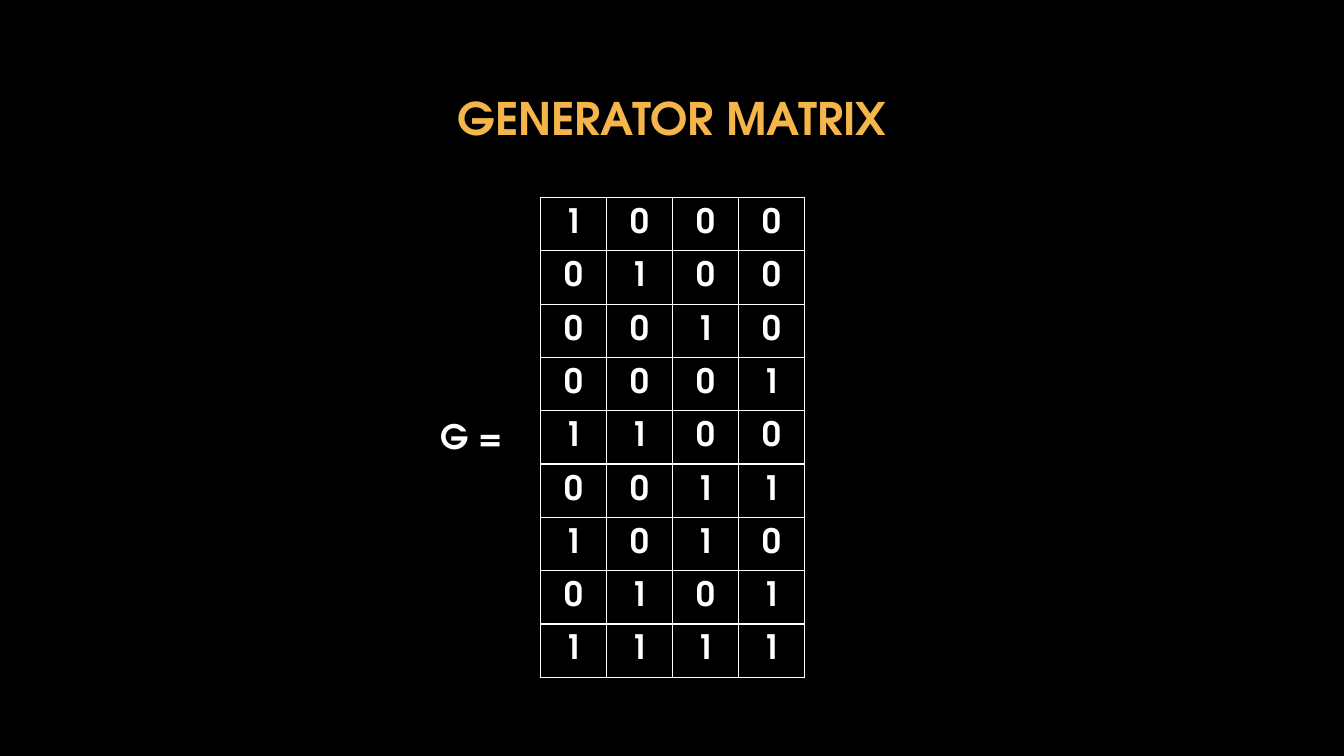
from dataclasses import dataclass

from lxml.etree import SubElement
from pptx import Presentation
from pptx.dml.color import RGBColor
from pptx.enum.text import MSO_ANCHOR, PP_ALIGN
from pptx.oxml.ns import qn
from pptx.slide import Slide
from pptx.table import _Cell
from pptx.text.text import _Paragraph
from pptx.util import Inches, Pt

SLIDE_WIDTH, SLIDE_HEIGHT = 13.33, 7.5
FONT = "TeX Gyre Adventor"
BLACK = RGBColor(0x00, 0x00, 0x00)
WHITE = RGBColor(0xFF, 0xFF, 0xFF)
AMBER = RGBColor(0xF4, 0xB5, 0x4B)

GENERATOR_ROWS = ["1000", "0100", "0010", "0001", "1100", "0011", "1010", "0101", "1111"]
MATRIX_LEFT, MATRIX_TOP = 5.36, 1.96
MATRIX_WIDTH, MATRIX_HEIGHT = 2.62, 4.76


@dataclass(frozen=True)
class Label:
    text: str
    left: float
    top: float
    width: float
    height: float
    size: int
    color: RGBColor
    align: PP_ALIGN
    anchor: MSO_ANCHOR
    wrap: bool


LABELS = [
    Label("GENERATOR MATRIX", 1.25, 0.67, SLIDE_WIDTH - 2 * 1.25, 0.99, 32, AMBER,
          PP_ALIGN.CENTER, MSO_ANCHOR.MIDDLE, True),
    Label("G =", 4.27, 4.08, 0.88, 0.5, 24, WHITE, PP_ALIGN.LEFT, MSO_ANCHOR.TOP, False),
]


def style_paragraph(paragraph: _Paragraph, size: int, color: RGBColor, align: PP_ALIGN) -> None:
    paragraph.alignment = align
    font = paragraph.font
    font.name, font.size, font.bold = FONT, Pt(size), True
    font.color.rgb = color


def add_label(page: Slide, label: Label) -> None:
    box = page.shapes.add_textbox(Inches(label.left), Inches(label.top),
                                  Inches(label.width), Inches(label.height))
    frame = box.text_frame
    frame.word_wrap = label.wrap
    frame.vertical_anchor = label.anchor
    frame.text = label.text
    style_paragraph(frame.paragraphs[0], label.size, label.color, label.align)


def add_borders(cell: _Cell, color: RGBColor) -> None:
    """Draw a one-point line on all four sides; call before setting the fill."""
    properties = cell._tc.get_or_add_tcPr()
    for side in ("a:lnL", "a:lnR", "a:lnT", "a:lnB"):
        line = SubElement(properties, qn(side), w=str(Pt(1)))
        fill = SubElement(line, qn("a:solidFill"))
        SubElement(fill, qn("a:srgbClr"), val=str(color))


def add_matrix(page: Slide, rows: list[str]) -> None:
    row_count, column_count = len(rows), len(rows[0])
    table = page.shapes.add_table(row_count, column_count,
                                  Inches(MATRIX_LEFT), Inches(MATRIX_TOP),
                                  Inches(MATRIX_WIDTH), Inches(MATRIX_HEIGHT)).table
    table.first_row = table.horz_banding = False
    for column in table.columns:
        column.width = Inches(MATRIX_WIDTH / column_count)
    for row, digits in zip(table.rows, rows):
        row.height = Inches(MATRIX_HEIGHT / row_count)
        for cell, digit in zip(row.cells, digits):
            add_borders(cell, WHITE)
            cell.fill.background()
            cell.vertical_anchor = MSO_ANCHOR.MIDDLE
            cell.text = digit
            style_paragraph(cell.text_frame.paragraphs[0], 24, WHITE, PP_ALIGN.CENTER)


def main() -> None:
    deck = Presentation()
    deck.slide_width, deck.slide_height = Inches(SLIDE_WIDTH), Inches(SLIDE_HEIGHT)
    page = deck.slides.add_slide(deck.slide_layouts[6])
    page.background.fill.solid()
    page.background.fill.fore_color.rgb = BLACK
    add_matrix(page, GENERATOR_ROWS)
    for label in LABELS:
        add_label(page, label)
    deck.save("out.pptx")


if __name__ == "__main__":
    main()
